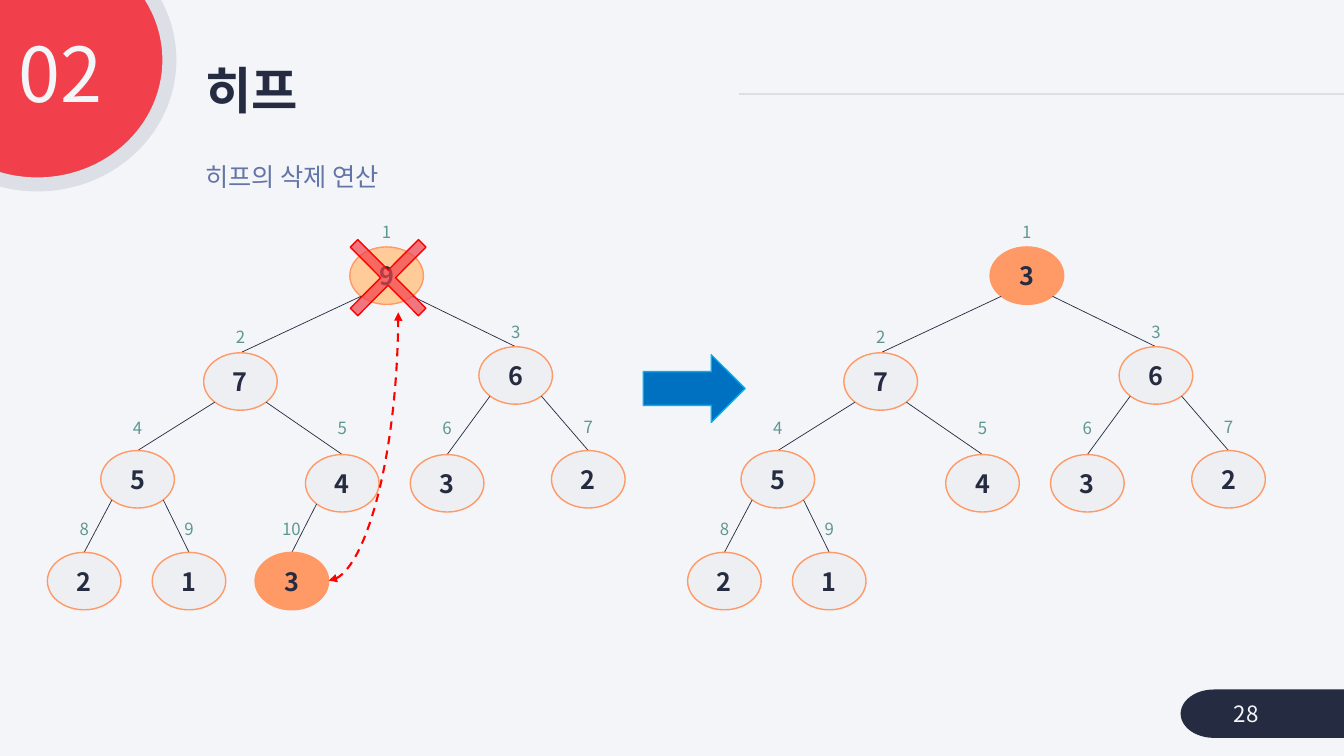
from lxml import etree
from pptx import Presentation
from pptx.dml.color import RGBColor
from pptx.enum.dml import MSO_LINE
from pptx.enum.shapes import MSO_CONNECTOR as CXN, MSO_SHAPE as SHAPE
from pptx.enum.text import MSO_ANCHOR as ANCHOR, MSO_AUTO_SIZE as AUTO, PP_ALIGN as ALIGN
from pptx.oxml.ns import qn
from pptx.util import Inches, Pt

FONT = "Noto Sans CJK KR"
C = {
    "bg": "F4F5F9", "navy": "252C41", "red": "F1404B", "grey": "DDDFE6",
    "subtitle": "6374A6", "index": "5D9792", "node": "EEEFF3",
    "orange": "FF9966", "peach": "FFCC99", "bright_red": "FF0000",
    "blue": "0070C0", "sky": "00B0F0",
}

# Heap index: (node left, node top, index label top)
SLOTS = {
    1: (3.47, 2.45, 2.15), 2: (2.02, 3.5, 3.19), 3: (4.75, 3.44, 3.14),
    4: (1.0, 4.47, 4.1), 5: (3.03, 4.51, 4.1), 6: (4.07, 4.51, 4.1),
    7: (5.47, 4.47, 4.09), 8: (0.47, 5.48, 5.1), 9: (1.51, 5.48, 5.1),
    10: (2.53, 5.48, 5.1),
}
NODE_W, NODE_H = 0.73, 0.57
TREE_SHIFT = 6.35


def rgb(name):
    return RGBColor.from_string(C[name])


def write(sp, text, size, color, bold=False, align=ALIGN.LEFT, anchor=ANCHOR.TOP):
    tf = sp.text_frame
    tf.vertical_anchor = anchor
    p = tf.paragraphs[0]
    p.text = text
    p.alignment = align
    p.font.size = Pt(size)
    p.font.bold = bold
    p.font.color.rgb = rgb(color)
    p.font.name = FONT
    # East Asian typeface for the Korean text
    ea = etree.SubElement(p._p.pPr.find(qn("a:defRPr")), qn("a:ea"))
    ea.set("typeface", FONT)
    return p


def add_text(shapes, box, text, size, color, wrap=True, grow=False, **style):
    sp = shapes.add_textbox(*map(Inches, box))
    sp.text_frame.word_wrap = wrap
    if grow:
        sp.text_frame.auto_size = AUTO.SHAPE_TO_FIT_TEXT
    return write(sp, text, size, color, **style)


def add_block(shapes, kind, box, fill, line=None, width=1):
    sp = shapes.add_shape(kind, *map(Inches, box))
    sp.shadow.inherit = False
    sp.fill.solid()
    sp.fill.fore_color.rgb = rgb(fill)
    if line:
        sp.line.color.rgb = rgb(line)
        sp.line.width = Pt(width)
    else:
        sp.line.fill.background()
    return sp


def add_line(shapes, start, end, color, width, kind=CXN.STRAIGHT):
    cxn = shapes.add_connector(kind, *map(Inches, (*start, *end)))
    cxn.line.color.rgb = rgb(color)
    cxn.line.width = Pt(width)
    etree.SubElement(cxn._element.spPr, qn("a:effectLst"))
    return cxn


def add_tree(slide, values, dx=0, fills=None):
    """Draw a heap whose values are listed in index order."""
    fills = fills or {}
    shapes = slide.shapes.add_group_shape().shapes
    for i, value in enumerate(values, 1):
        left, top, label_top = SLOTS[i]
        left += dx
        center = left + NODE_W / 2
        if i > 1:
            parent_left, parent_top, _ = SLOTS[i // 2]
            side = 0.62 if i % 2 else 0.11
            add_line(shapes, (parent_left + dx + side, parent_top + 0.49),
                     (center, top), "navy", 0.5)
        node = add_block(shapes, SHAPE.OVAL, (left, top, NODE_W, NODE_H),
                         fills.get(i, "node"), "orange")
        write(node, str(value), 18, "navy", bold=True,
              align=ALIGN.CENTER, anchor=ANCHOR.MIDDLE)
        label_w = 0.19 + 0.1 * len(str(i))
        add_text(shapes, (center - label_w / 2, label_top, label_w, 0.3),
                 str(i), 12, "index", wrap=False, grow=True)


def add_frame(slide):
    """Header circle, rule, title, subtitle and page number."""
    shapes = slide.shapes
    add_line(shapes, (7.33, 0.93), (13.33, 0.93), "grey", 1.5)
    add_block(shapes, SHAPE.OVAL, (-0.94, -0.64, 2.62, 2.47), "red", "grey", 10)
    add_block(shapes, SHAPE.FLOWCHART_TERMINATOR, (11.71, 6.84, 2.05, 0.48), "navy")
    title = add_text(shapes, (1.94, 0.59, 5.39, 0.67), "히프", 36, "navy",
                     bold=True, anchor=ANCHOR.MIDDLE)
    title.line_spacing = 0.9
    number = add_text(shapes, (-0.11, 0.32, 1.22, 0.92), "02", 54, "bg",
                      align=ALIGN.RIGHT)
    number.line_spacing = 0.9
    number.space_before = Pt(10)
    add_text(shapes, (12.14, 6.88, 1.09, 0.4), "28", 16, "bg", anchor=ANCHOR.MIDDLE)
    add_text(shapes, (1.94, 1.55, 4.25, 0.4), "히프의 삭제 연산", 18, "subtitle",
             grow=True)


def add_delete_cross(slide):
    cross = add_block(slide.shapes, SHAPE.MATH_MULTIPLY, (3.2, 2.1, 1.3, 1.31),
                      "red", "bright_red")
    cross.adjustments[0] = 0.081
    # 70 % opacity
    color = cross._element.spPr.find(qn("a:solidFill")).find(qn("a:srgbClr"))
    etree.SubElement(color, qn("a:alpha")).set("val", "70000")


def add_swap_arrow(slide):
    """Dashed curve from the last node up to the root."""
    cxn = add_line(slide.shapes, (3.26, 5.76), (3.95, 3.1), "bright_red", 1.5, CXN.CURVE)
    cxn._element.spPr.find(qn("a:prstGeom")).set("prst", "curvedConnector2")
    cxn.line.dash_style = MSO_LINE.DASH
    ln = cxn._element.spPr.find(qn("a:ln"))
    for tag in ("a:headEnd", "a:tailEnd"):
        etree.SubElement(ln, qn(tag)).set("type", "triangle")


def main():
    prs = Presentation()
    prs.slide_width, prs.slide_height = Inches(13.33), Inches(7.5)
    slide = prs.slides.add_slide(prs.slide_layouts[6])
    slide.background.fill.solid()
    slide.background.fill.fore_color.rgb = rgb("bg")

    add_frame(slide)

    # Before: the root is deleted and the last node takes its place
    add_tree(slide, [9, 7, 6, 5, 4, 3, 2, 2, 1, 3], fills={1: "peach", 10: "orange"})
    add_delete_cross(slide)
    add_swap_arrow(slide)

    # After
    add_tree(slide, [3, 7, 6, 5, 4, 3, 2, 2, 1], TREE_SHIFT, {1: "orange"})
    add_block(slide.shapes, SHAPE.RIGHT_ARROW, (6.38, 3.52, 1.01, 0.67), "blue", "sky")

    prs.save("out.pptx")


if __name__ == "__main__":
    main()
